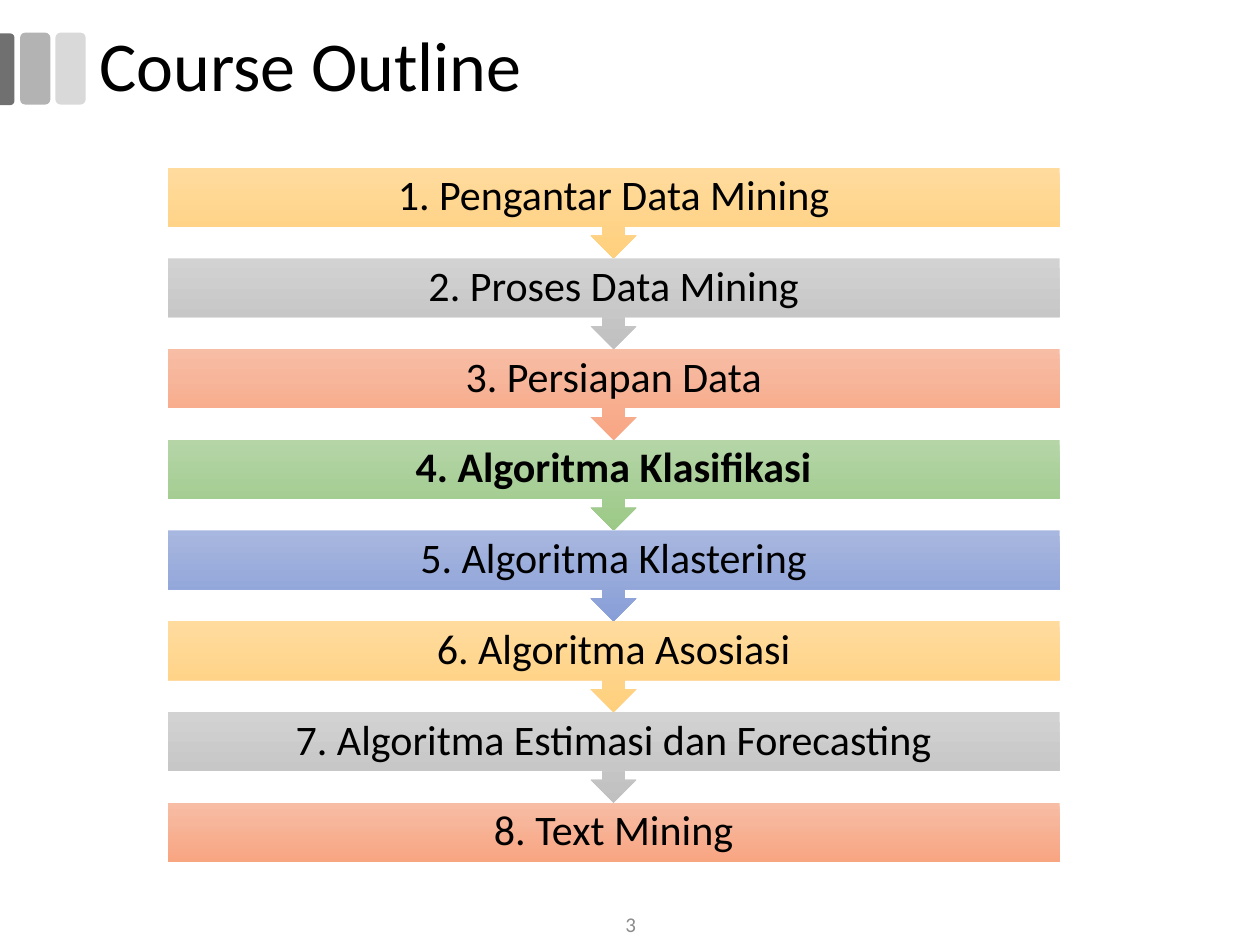
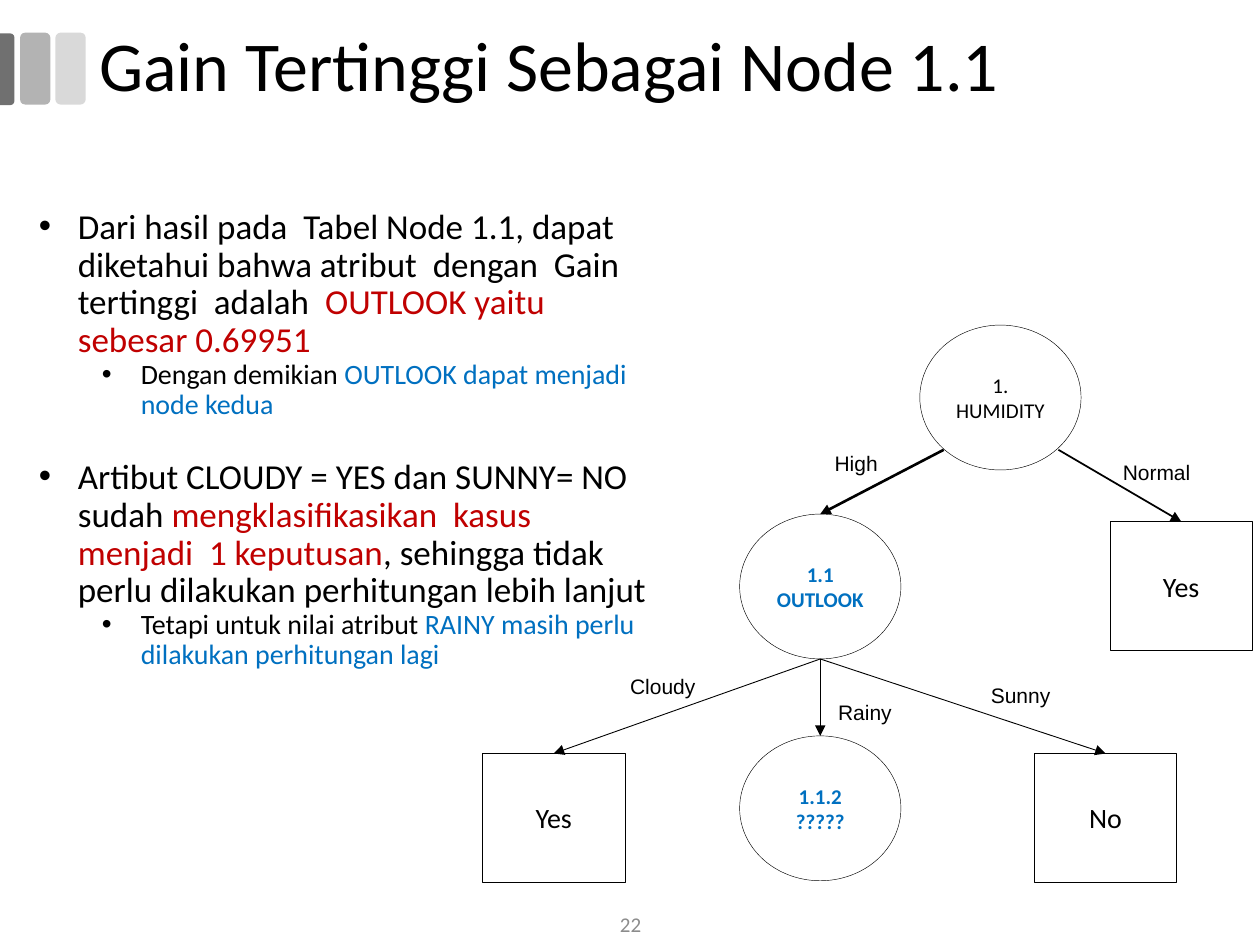
from lxml.etree import SubElement
from pptx import Presentation
from pptx.dml.color import RGBColor
from pptx.enum.shapes import MSO_CONNECTOR, MSO_SHAPE
from pptx.enum.text import MSO_ANCHOR, PP_ALIGN
from pptx.oxml.ns import qn
from pptx.util import Inches, Pt

BLACK, RED, BLUE, GREY = "000000", "C00000", "0070C0", "8C8C8C"
YELLOW_FADE = ("FFDB9E", "FFD07C")
GREY_FADE = ("D2D2D2", "C0C0C0")
ORANGE_FADE = ("F7BDA5", "F8A582")
GREEN_FADE = ("B5D5A7", "9CC987")
BLUE_FADE = ("A8B7DF", "889ED7")
FADES = (YELLOW_FADE, GREY_FADE, ORANGE_FADE, GREEN_FADE, BLUE_FADE)

TOPICS = (
    "1. Pengantar Data Mining",
    "2. Proses Data Mining",
    "3. Persiapan Data",
    "4. Algoritma Klasifikasi",
    "5. Algoritma Klastering",
    "6. Algoritma Asosiasi",
    "7. Algoritma Estimasi dan Forecasting",
    "8. Text Mining",
)
CURRENT_TOPIC = 3

FINDINGS = (
    (0, 0, (("Dari hasil pada  Tabel Node 1.1, dapat diketahui bahwa atribut  dengan  "
             "Gain  tertinggi  adalah  ", BLACK),
            ("OUTLOOK yaitu sebesar 0.69951", RED))),
    (1, 0, (("Dengan demikian ", BLACK),
            ("OUTLOOK dapat menjadi node kedua", BLUE))),
    (0, 22, (("Artibut CLOUDY = YES dan SUNNY= NO sudah ", BLACK),
             ("mengklasifikasikan  kasus  menjadi  1 keputusan", RED),
             (", sehingga tidak perlu dilakukan perhitungan lebih lanjut", BLACK))),
    (1, 0, (("Tetapi untuk nilai atribut ", BLACK),
            ("RAINY masih perlu dilakukan perhitungan lagi", BLUE))),
)


def color(hex_code):
    """Turn a hex string into a colour."""
    return RGBColor.from_string(hex_code)


def box(left, top, width, height):
    """Convert a box in inches to lengths."""
    return [Inches(value) for value in (left, top, width, height)]


def write(shape, text, size, hex_code=BLACK, bold=False, font="Calibri",
          align=PP_ALIGN.CENTER, anchor=MSO_ANCHOR.MIDDLE, wrap=True):
    """Fill a shape with evenly styled paragraphs."""
    frame = shape.text_frame
    frame.text = text
    frame.word_wrap = wrap
    frame.vertical_anchor = anchor
    for paragraph in frame.paragraphs:
        paragraph.alignment = align
        paragraph.font.name = font
        paragraph.font.size = Pt(size)
        paragraph.font.bold = bold
        paragraph.font.color.rgb = color(hex_code)


def add_plain_shape(slide, kind, place, fill=None):
    """Add a preset shape without shadow or line."""
    shape = slide.shapes.add_shape(kind, *box(*place))
    shape.shadow.inherit = False
    shape.line.fill.background()
    if fill:
        shape.fill.solid()
        shape.fill.fore_color.rgb = color(fill)
    else:
        shape.fill.background()
    return shape


def add_base_slide(presentation, title, number):
    """Add a slide with corner bars, title and page number."""
    slide = presentation.slides.add_slide(presentation.slide_layouts[6])
    for left, fill in ((0.44, "D9D9D9"), (0.16, "B3B3B3")):
        add_plain_shape(slide, MSO_SHAPE.ROUNDED_RECTANGLE, (left, 0.26, 0.24, 0.57), fill)
    edge_bar = add_plain_shape(slide, MSO_SHAPE.ROUND_2_SAME_RECTANGLE,
                               (-0.23, 0.49, 0.57, 0.12), "707070")
    edge_bar.adjustments[0] = 0.29
    edge_bar.rotation = 90
    title_box = slide.shapes.add_textbox(*box(0.69, 0.17, 9.3, 0.75))
    write(title_box, title, 40, align=PP_ALIGN.LEFT)
    title_box.text_frame.paragraphs[0].line_spacing = 0.9
    number_box = slide.shapes.add_textbox(*box(3.88, 7.17, 2.25, 0.33))
    write(number_box, str(number), 12, GREY)
    return slide


def add_topic(slide, kind, top, height, text, fade, bold):
    """Add one step of the outline with a vertical gradient."""
    topic = add_plain_shape(slide, kind, (1.33, top, 7.08, height))
    topic.fill.gradient()
    topic.fill.gradient_angle = 270
    for stop, hex_code in zip(topic.fill.gradient_stops, fade):
        stop.color.rgb = color(hex_code)
    write(topic, text, 24, bold=bold)
    topic.text_frame.margin_top = topic.text_frame.margin_bottom = 0
    topic.text_frame.paragraphs[0].line_spacing = 0.9


def add_findings(slide):
    """Add the two-level bulleted text."""
    frame = slide.shapes.add_textbox(*box(0.21, 1.61, 5.04, 5.08)).text_frame
    frame.word_wrap = True
    for index, (level, gap, runs) in enumerate(FINDINGS):
        paragraph = frame.add_paragraph() if index else frame.paragraphs[0]
        paragraph.level = level
        paragraph.line_spacing = 0.9
        paragraph.space_before = Pt(gap)
        properties = paragraph._p.get_or_add_pPr()
        properties.set("marL", str(Inches(0.31 + 0.5 * level)))
        properties.set("indent", str(Inches(-0.31)))
        SubElement(properties, qn("a:buFont"), typeface="Arial")
        SubElement(properties, qn("a:buChar"), char="•")
        paragraph.font.name = "Calibri"
        paragraph.font.size = Pt(16 if level else 20)
        for text, hex_code in runs:
            run = paragraph.add_run()
            run.text = text
            run.font.color.rgb = color(hex_code)


def add_tree_shape(slide, kind, place, text, size, hex_code=BLACK, bold=False):
    """Add an unfilled tree shape with a hairline outline."""
    shape = add_plain_shape(slide, kind, place)
    shape.line.color.rgb = color(BLACK)
    shape.line.width = Pt(0.25)
    write(shape, text, size, hex_code, bold)
    shape.text_frame.margin_left = shape.text_frame.margin_right = Inches(0.05)
    return shape


def add_node(slide, left, top, text, hex_code=BLUE, bold=True):
    """Add a round decision node."""
    return add_tree_shape(slide, MSO_SHAPE.OVAL, (left, top, 1.28, 1.15),
                          text, 12, hex_code, bold)


def add_leaf(slide, left, top, text):
    """Add a square result leaf."""
    return add_tree_shape(slide, MSO_SHAPE.RECTANGLE, (left, top, 1.13, 1.02), text, 16)


def add_branch(slide, start, child, width, label, label_place):
    """Add a labelled arrow from a point to the top of a child."""
    x, y = (Inches(value) for value in start)
    arrow = slide.shapes.add_connector(MSO_CONNECTOR.STRAIGHT, x, y, x, y)
    arrow.end_connect(child, 0)
    arrow.line.color.rgb = color(BLACK)
    arrow.line.width = Pt(width)
    SubElement(arrow.line._get_or_add_ln(), qn("a:tailEnd"), type="triangle")
    SubElement(arrow._element.spPr, qn("a:effectLst"))
    label_box = slide.shapes.add_textbox(*box(*label_place, 0.3))
    write(label_box, label, 12, font="Arial", anchor=MSO_ANCHOR.TOP, wrap=False)


def build_outline(presentation):
    """Build the course outline slide."""
    slide = add_base_slide(presentation, "Course Outline", 3)
    last = len(TOPICS) - 1
    for index, text in enumerate(TOPICS):
        kind, height = ((MSO_SHAPE.RECTANGLE, 0.47) if index == last
                        else (MSO_SHAPE.DOWN_ARROW_CALLOUT, 0.72))
        add_topic(slide, kind, 1.33 + 0.72 * index, height, text,
                  FADES[index % len(FADES)], index == CURRENT_TOPIC)


def build_tree(presentation):
    """Build the decision tree slide."""
    slide = add_base_slide(presentation, "Gain Tertinggi Sebagai Node 1.1", 22)
    add_findings(slide)
    add_node(slide, 7.3, 2.58, "1. HUMIDITY", BLACK, False)
    outlook = add_node(slide, 5.87, 4.08, "1.1\nOUTLOOK")
    unknown = add_node(slide, 5.87, 5.84, "1.1.2\n?????")
    normal_yes = add_leaf(slide, 8.81, 4.14, "Yes")
    cloudy_yes = add_leaf(slide, 3.83, 5.98, "Yes")
    sunny_no = add_leaf(slide, 8.21, 5.98, "No")
    outlook_bottom = (6.51, 5.23)
    add_branch(slide, (7.49, 3.57), outlook, 1.5, "High", (6.52, 3.53, 0.55))
    add_branch(slide, (8.4, 3.57), normal_yes, 1, "Normal", (8.81, 3.6, 0.74))
    add_branch(slide, outlook_bottom, cloudy_yes, 0.5, "Cloudy", (4.9, 5.3, 0.72))
    add_branch(slide, outlook_bottom, unknown, 0.5, "Rainy", (6.55, 5.5, 0.63))
    add_branch(slide, outlook_bottom, sunny_no, 0.5, "Sunny", (7.76, 5.37, 0.68))


def main():
    """Build and save the presentation."""
    presentation = Presentation()
    presentation.slide_width = Inches(10)
    presentation.slide_height = Inches(7.5)
    build_outline(presentation)
    build_tree(presentation)
    presentation.save("out.pptx")


if __name__ == "__main__":
    main()
